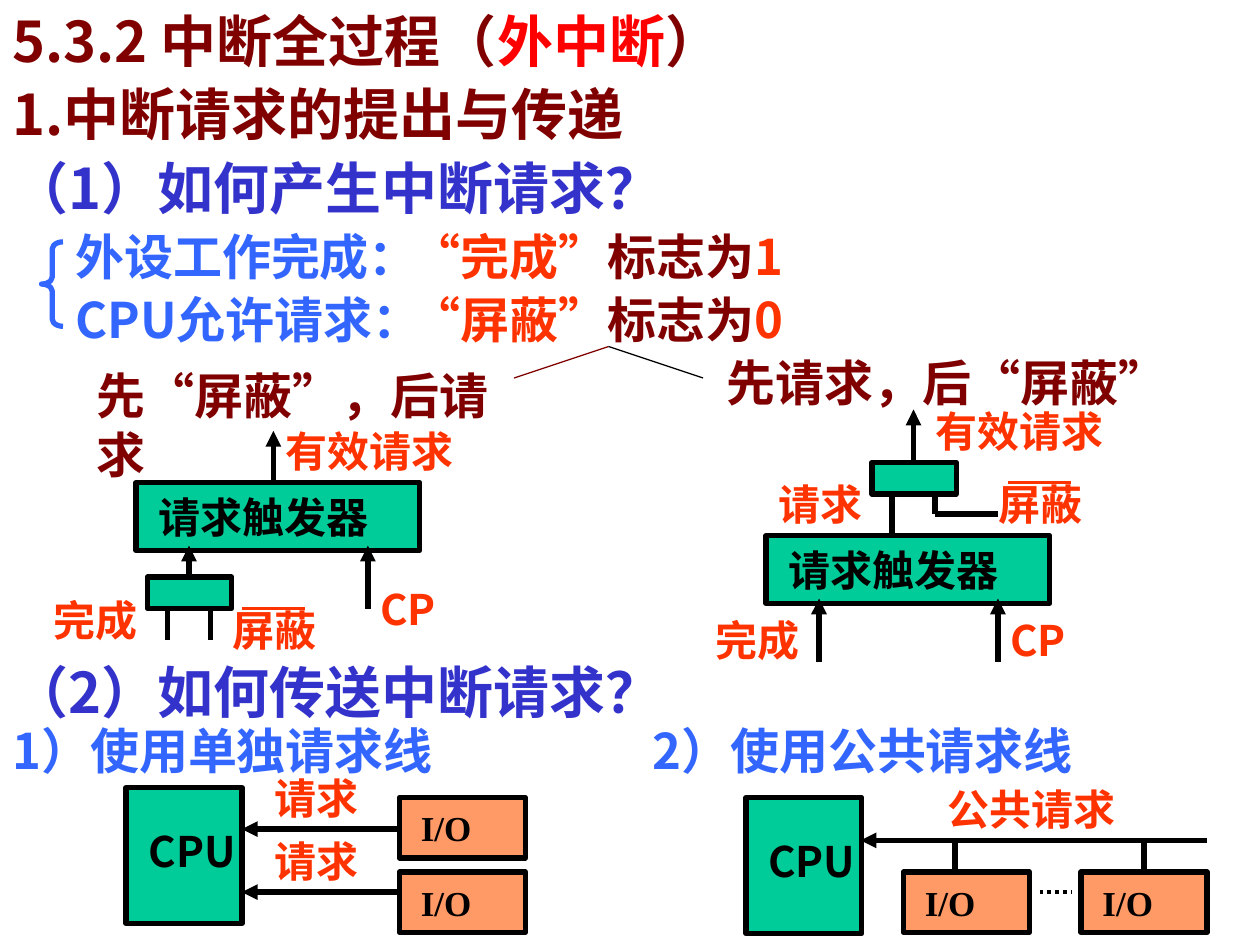
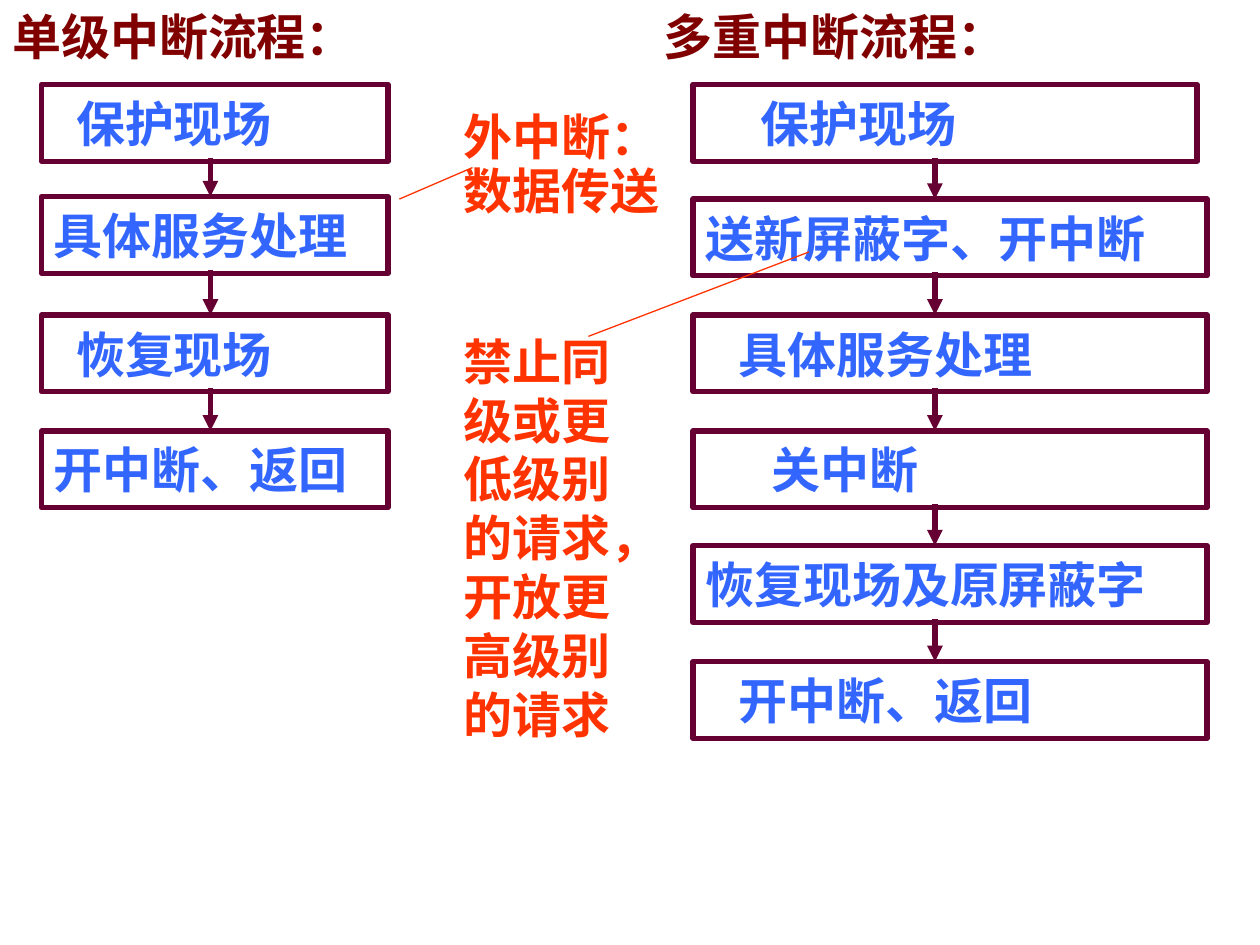
"""Build two slides on the interrupt process: raising requests, and service flows."""
import pptx
import pptx.dml.color
import pptx.enum.dml
import pptx.enum.shapes
import pptx.enum.text
import pptx.oxml.ns
import pptx.util
from lxml import etree
from pptx.util import Inches

SANS = "Noto Sans CJK SC"
SERIF = "Times New Roman"
COLORS = {
    "maroon": "800000", "indigo": "3333CC", "blue": "3366FF", "orange": "FF3300",
    "red": "FF0000", "black": "000000", "green": "00CC99", "peach": "FF9966",
    "plum": "660033",
}
RECT = pptx.enum.shapes.MSO_SHAPE.RECTANGLE
BRACE = pptx.enum.shapes.MSO_SHAPE.LEFT_BRACE


def quoted(word, color):
    return [("“", color, SERIF), (word, color), ("”", color, SERIF)]


def flag_value(word, value):
    return quoted(word, "orange") + [("标志为", "maroon"), (value, "orange")]


# Text: left, top, width, size, runs of (words, colour, optional Latin font)
HEADINGS = [
    (0, 0, 6.83, 32, [("5.3.2 中断全过程（", "maroon"), ("外中断", "red"), ("）", "maroon")]),
    (0, 0.58, 6.33, 32, [("1.中断请求的提出与传递", "maroon")]),
    (0, 1.17, 6.33, 32, [("（1）如何产生中断请求？", "indigo")]),
    (0.5, 1.75, 4, 28, [("外设工作完成：", "blue")]),
    (0.5, 2.25, 4, 28, [("CPU允许请求：", "blue")]),
    (3.17, 1.75, 3.92, 28, flag_value("完成", "1")),
    (3.17, 2.25, 3.92, 28, flag_value("屏蔽", "0")),
    (0.67, 2.85, 3.67, 28,
     [("先", "maroon")] + quoted("屏蔽", "maroon") + [("，后请求", "maroon")]),
    (5.67, 2.75, 4, 28, [("先请求，后", "maroon")] + quoted("屏蔽", "maroon")),
    (0, 5.17, 6.33, 32, [("（2）如何传送中断请求？", "indigo")]),
    (0, 5.67, 4.92, 28, [("1）使用单独请求线", "blue")]),
    (5.08, 5.67, 4.92, 28, [("2）使用公共请求线", "blue")]),
]
SIGNALS = [
    ("完成", 0.33, 4.67, 1.33), ("屏蔽", 1.75, 4.75, 1.5),
    ("CP", 2.92, 4.58, 1.33), ("有效请求", 2.17, 3.33, 1.83),
    ("完成", 5.58, 4.83, 1.33), ("屏蔽", 7.83, 3.75, 1.5),
    ("CP", 7.92, 4.83, 1.33), ("请求", 6.08, 3.75, 1.33),
    ("有效请求", 7.33, 3.17, 1.92),
    ("请求", 2.08, 6.08, 1.33), ("请求", 2.08, 6.58, 1.33),
    ("公共请求", 7.42, 6.17, 1.83),
]
TRIGGERS = [(1.08, 3.83), (6.08, 4.25)]
GATES = [(1.17, 4.58), (6.92, 3.67)]
CPUS = [(1, 6.25), (5.92, 6.33)]
DEVICES = [(3.17, 6.33), (3.17, 6.92), (7.17, 6.92), (8.58, 6.92)]
WIRES = [
    (1.33, 4.83, 1.33, 5.08), (1.67, 4.83, 1.67, 5.08),
    (7.08, 3.92, 7.08, 4.25), (7.42, 3.92, 7.42, 4.08), (7.42, 4.08, 7.92, 4.08),
    (7.58, 6.67, 7.58, 6.92), (9.08, 6.67, 9.08, 6.92),
]
ARROWS = [
    (1.5, 4.58, 1.5, 4.33), (2.92, 4.83, 2.92, 4.33), (2.17, 3.83, 2.17, 3.42),
    (6.5, 5.25, 6.5, 4.75), (7.92, 5.25, 7.92, 4.75), (7.25, 3.67, 7.25, 3.25),
    (3.17, 6.58, 1.92, 6.58), (3.17, 7.08, 1.92, 7.08), (9.58, 6.67, 6.83, 6.67),
]
NEGATIONS = [(1.92, 4.83, 2.42, 4.83), (8, 3.83, 8.5, 3.83)]

# Flow steps: words, indent counted in spaces
FLOWS = [
    {"title": "单级中断流程：", "title_left": 0, "left": 0.33, "width": 2.75, "axis": 1.67,
     "steps": [("保护现场", 2), ("具体服务处理", 0), ("恢复现场", 2), ("开中断、返回", 0)],
     "tops": [0.67, 1.56, 2.5, 3.42]},
    {"title": "多重中断流程：", "title_left": 5.17, "left": 5.5, "width": 4.08, "axis": 7.42,
     "steps": [("保护现场", 5), ("送新屏蔽字、开中断", 0), ("具体服务处理", 3),
               ("关中断", 6), ("恢复现场及原屏蔽字", 0), ("开中断、返回", 3)],
     "tops": [0.67, 1.58, 2.5, 3.42, 4.33, 5.25]},
]
FIRST_STEP_WIDTHS = [2.75, 4]
SPACE_WIDTH = 0.087
CALLOUT_LINES = [(3.17, 1.58, 3.75, 1.33), (4.67, 2.67, 6.42, 2)]


def rgb(name):
    return pptx.dml.color.RGBColor.from_string(COLORS[name])


def write(para, size, runs):
    for words, color, *font in runs:
        span = para.add_run()
        span.text = words
        span.font.size = pptx.util.Pt(size)
        span.font.bold = True
        span.font.color.rgb = rgb(color)
        span.font.name = font[0] if font else SANS
        east = etree.SubElement(span.font._element, pptx.oxml.ns.qn("a:ea"))
        east.set("typeface", SANS)


def add_text(page, left, top, width, size, *paragraphs, height=None):
    height = height or {24: 0.5, 28: 0.57, 32: 0.63}[size]
    box = page.shapes.add_textbox(Inches(left), Inches(top), Inches(width), Inches(height))
    box.text_frame.word_wrap = True
    for number, runs in enumerate(paragraphs):
        para = box.text_frame.add_paragraph() if number else box.text_frame.paragraphs[0]
        write(para, size, runs)
    return box


def add_box(page, left, top, width, height, fill=None, line="black", kind=RECT,
            size=28, runs=(), indent=0):
    box = page.shapes.add_shape(kind, Inches(left), Inches(top), Inches(width), Inches(height))
    box.shadow.inherit = False
    if fill:
        box.fill.solid()
        box.fill.fore_color.rgb = rgb(fill)
    else:
        box.fill.background()
    box.line.color.rgb = rgb(line)
    box.line.width = pptx.util.Pt(3)
    frame = box.text_frame
    frame.word_wrap = True
    frame.margin_left = Inches(0.1 + indent)
    frame.vertical_anchor = pptx.enum.text.MSO_ANCHOR.MIDDLE
    frame.paragraphs[0].alignment = pptx.enum.text.PP_ALIGN.LEFT
    write(frame.paragraphs[0], size, runs)
    return box


def add_line(page, ends, color="black", width=3, arrow=False):
    line = page.shapes.add_connector(
        pptx.enum.shapes.MSO_CONNECTOR.STRAIGHT, *[Inches(value) for value in ends])
    line.line.color.rgb = rgb(color)
    line.line.width = pptx.util.Pt(width)
    if arrow:
        tail = etree.SubElement(line.line._get_or_add_ln(), pptx.oxml.ns.qn("a:tailEnd"))
        tail.set("type", "triangle")
    etree.SubElement(line._element.spPr, pptx.oxml.ns.qn("a:effectLst"))
    return line


def build_request_page(page):
    for left, top, width, size, runs in HEADINGS:
        add_text(page, left, top, width, size, runs)
    brace = add_box(page, 0.33, 1.92, 0.17, 0.67, line="blue", kind=BRACE)
    brace.adjustments[0] = 0.33
    add_line(page, (4.08, 3, 4.83, 2.75), "maroon", 0.75)
    add_line(page, (4.83, 2.75, 5.58, 3), "black", 0.75)

    for left, top in TRIGGERS:
        add_box(page, left, top, 2.25, 0.54, "green", size=24,
                runs=[("请求触发器", "black", SERIF)], indent=0.08)
    for left, top in GATES:
        add_box(page, left, top, 0.67, 0.25, "green")
    for left, top in CPUS:
        add_box(page, left, top, 0.92, 1.08, "green")
        add_text(page, left + 0.08, top + 0.25, 1.08, 24, [("CPU", "black")])
    for left, top in DEVICES:
        add_box(page, left, top, 1, 0.48, "peach", size=20,
                runs=[("I/O", "black", SERIF)], indent=0.07)
    for ends in WIRES:
        add_line(page, ends)
    for ends in ARROWS:
        add_line(page, ends, arrow=True)
    for ends in NEGATIONS:
        add_line(page, ends, "orange", 1.5)
    dots = add_line(page, (8.25, 7.08, 8.5, 7.08), width=2.25)
    dots.line.dash_style = pptx.enum.dml.MSO_LINE.ROUND_DOT
    for words, left, top, width in SIGNALS:
        add_text(page, left, top, width, 24, [(words, "orange")])


def build_flow_page(page):
    for flow, first_width in zip(FLOWS, FIRST_STEP_WIDTHS):
        add_text(page, flow["title_left"], 0, 4.83, 28, [(flow["title"], "maroon")])
        tops = flow["tops"]
        for number, ((words, spaces), top) in enumerate(zip(flow["steps"], tops)):
            width = flow["width"] if number else first_width
            add_box(page, flow["left"], top, width, 0.61, line="plum",
                    runs=[(words, "blue")], indent=spaces * SPACE_WIDTH)
        for top, following in zip(tops, tops[1:]):
            add_line(page, (flow["axis"], top + 0.58, flow["axis"], following),
                     "plum", arrow=True)

    transfer = add_text(page, 3.58, 1, 2.25, 28, [("外中断：", "orange")],
                        [("数据传送", "orange")], height=0.8)
    for para in transfer.text_frame.paragraphs:
        para.line_spacing = 0.5
        para.space_before = pptx.util.Pt(14)
    add_text(page, 3.58, 2.58, 1.67, 28,
             [("禁止同级或更低级别的请求，开放更高级别的请求", "orange")], height=3.37)
    for ends in CALLOUT_LINES:
        add_line(page, ends, "orange", 0.75)


def main():
    deck = pptx.Presentation()
    deck.slide_width, deck.slide_height = Inches(10), Inches(7.5)
    for build in (build_request_page, build_flow_page):
        build(deck.slides.add_slide(deck.slide_layouts[6]))
    deck.save("out.pptx")


if __name__ == "__main__":
    main()
